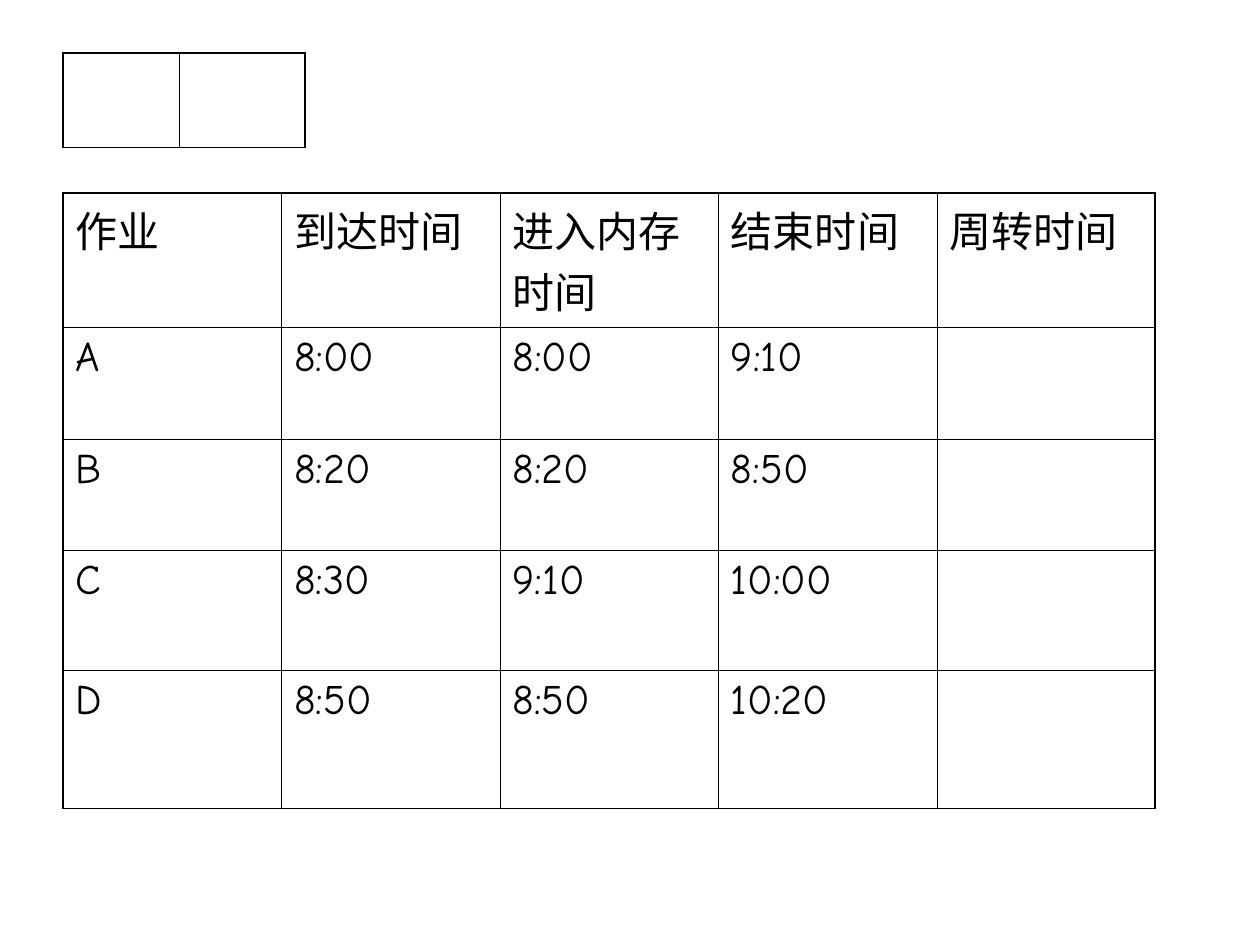
from lxml import etree
from pptx import Presentation
from pptx import util as u
from pptx.dml.color import RGBColor
from pptx.oxml import ns

BLACK = RGBColor(0x00, 0x00, 0x00)
OUTER, INNER = u.Pt(1.08), u.Pt(0.45)

EMPTY_ROW = [["", ""]]
JOBS = [
    ["作业", "到达时间", "进入内存时间", "结束时间", "周转时间"],
    ["A", "8:00", "8:00", "9:10", ""],
    ["B", "8:20", "8:20", "8:50", ""],
    ["C", "8:30", "9:10", "10:00", ""],
    ["D", "8:50", "8:50", "10:20", ""],
]


class SlideBuilder:
    font, size, color = "Comic Neue", u.Pt(24), BLACK

    def __init__(self, slide):
        self.s = slide

    def table(self, left, top, widths, heights, rows):
        """Add a plain grid with a heavier outer frame; lengths are in inches."""
        table = self.s.shapes.add_table(
            len(heights), len(widths), u.Inches(left), u.Inches(top),
            u.Inches(sum(widths)), u.Inches(sum(heights))).table
        table.first_row = table.horz_banding = False
        for column, width in zip(table.columns, widths):
            column.width = u.Inches(width)
        for row, height in zip(table.rows, heights):
            row.height = u.Inches(height)
        last_row, last_col = len(heights) - 1, len(widths) - 1
        for i, row in enumerate(rows):
            for j, value in enumerate(row):
                cell = table.cell(i, j)
                self.borders(cell, {"L": j == 0, "R": j == last_col,
                                    "T": i == 0, "B": i == last_row})
                cell.fill.background()
                self.cell_text(cell, value)

    def borders(self, cell, is_outer):
        tc_pr = cell._tc.get_or_add_tcPr()
        for side, outer in is_outer.items():
            ln = etree.SubElement(tc_pr, ns.qn(f"a:ln{side}"),
                                  w=str(OUTER if outer else INNER))
            fill = etree.SubElement(ln, ns.qn("a:solidFill"))
            etree.SubElement(fill, ns.qn("a:srgbClr"), val=str(self.color))

    def cell_text(self, cell, value):
        cell.margin_left = cell.margin_right = u.Inches(0.1)
        cell.margin_top = cell.margin_bottom = u.Inches(0.05)
        if value:
            p = cell.text_frame.paragraphs[0]
            r = p.add_run()
            r.text = value
            r.font.name, r.font.size = self.font, self.size
            r.font.color.rgb = self.color


def main():
    prs = Presentation()
    prs.slide_width, prs.slide_height = u.Inches(10), u.Inches(7.5)
    builder = SlideBuilder(prs.slides.add_slide(prs.slide_layouts[6]))
    builder.table(0.5, 0.42, [0.92, 1], [0.75], EMPTY_ROW)
    builder.table(0.5, 1.53, [8.67 / 5] * 5, [0.91, 0.89, 0.88, 0.95, 1.1], JOBS)
    prs.save("out.pptx")


if __name__ == "__main__":
    main()
